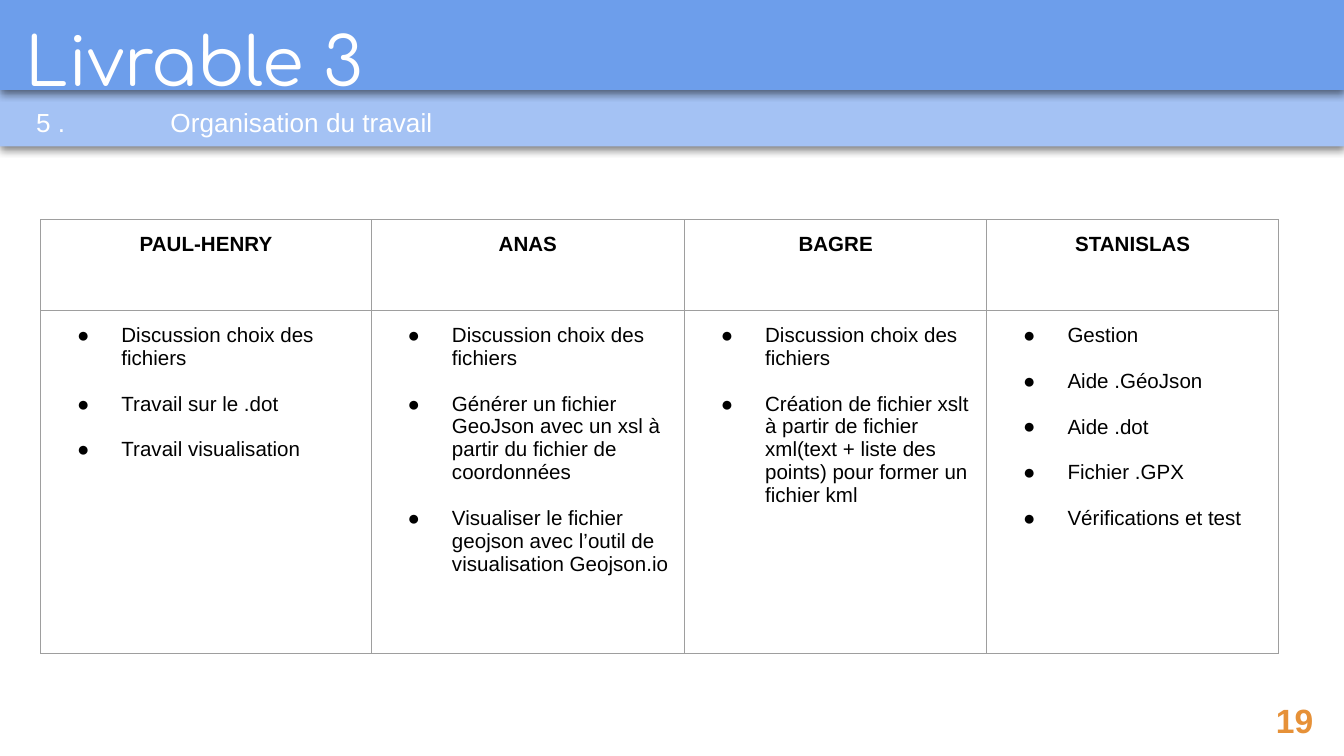
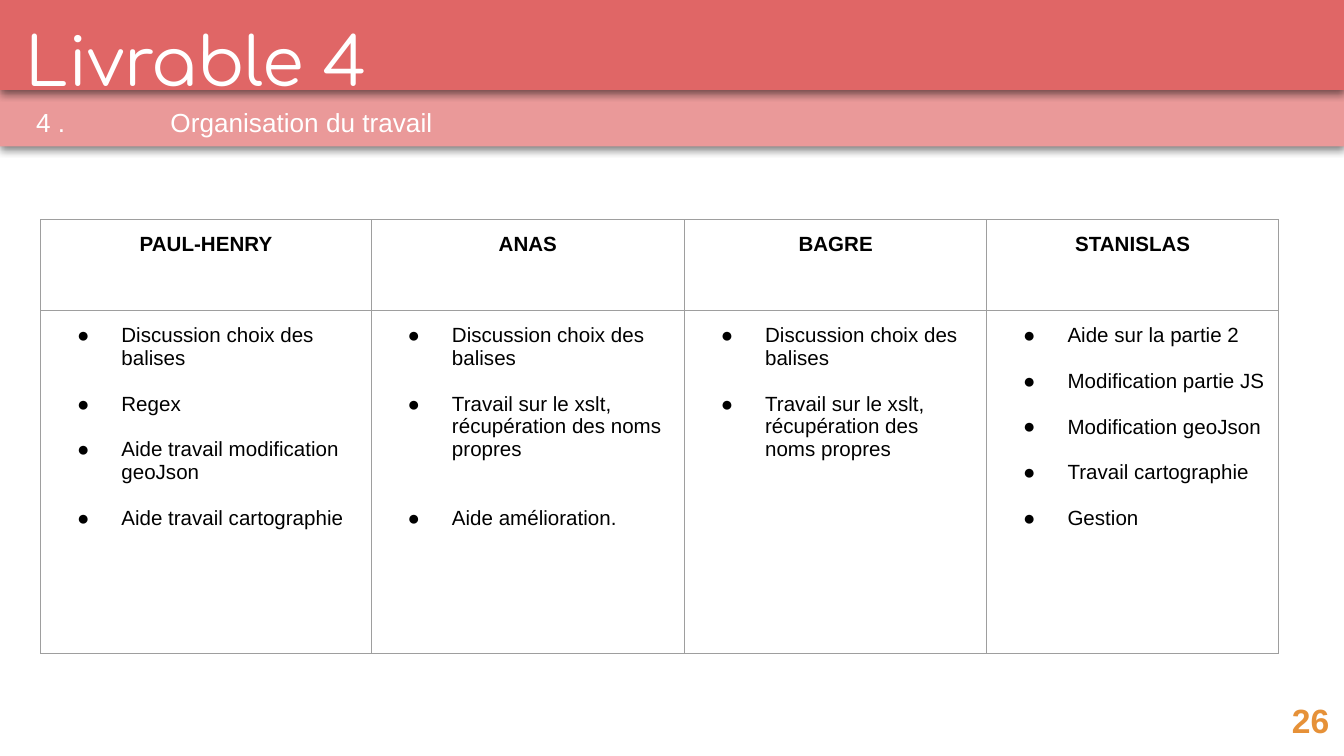
from dataclasses import dataclass

from lxml.etree import SubElement
from pptx import Presentation
from pptx.dml.color import RGBColor as RGB
from pptx.enum.shapes import MSO_SHAPE as Preset
from pptx.enum.text import MSO_ANCHOR as Anchor, MSO_AUTO_SIZE as AutoSize, PP_ALIGN as Align
from pptx.oxml import parse_xml
from pptx.oxml.ns import nsdecls, qn
from pptx.util import Inches, Pt


@dataclass(frozen=True)
class Theme:
    body_font: str = "Arial"
    title_font: str = "Comfortaa"
    white: str = "FFFFFF"
    ink: str = "000000"
    border: str = "9E9E9E"
    accent: str = "E69138"
    title_size: float = 36
    number_size: float = 18
    section_size: float = 14
    table_size: float = 11
    item_gap: float = 12.3
    border_width: float = 0.75


THEME = Theme()
MEMBERS = ["PAUL-HENRY", "ANAS", "BAGRE", "STANISLAS"]
WIDE_GAP_ITEM = "Aide amélioration."

DELIVERABLES = [
    {
        "title": "Livrable 3", "section": "5 . \tOrganisation du travail",
        "dark": "6D9EEB", "light": "A4C2F4",
        "number": "19", "number_left": 93.95, "number_width": 6.2,
        "tasks": [
            ["Discussion choix des fichiers", "Travail sur le .dot", "Travail visualisation"],
            ["Discussion choix des fichiers",
             "Générer un fichier GeoJson avec un xsl à partir du fichier de coordonnées",
             "Visualiser le fichier geojson avec l’outil de visualisation Geojson.io"],
            ["Discussion choix des fichiers",
             "Création de fichier xslt à partir de fichier xml(text + liste des points) "
             "pour former un fichier kml"],
            ["Gestion", "Aide .GéoJson", "Aide .dot", "Fichier .GPX", "Vérifications et test"],
        ],
    },
    {
        "title": "Livrable 4", "section": "4 . \tOrganisation du travail",
        "dark": "E06666", "light": "EA9999",
        "number": "26", "number_left": 95.15, "number_width": 5,
        "tasks": [
            ["Discussion choix des balises", "Regex", "Aide travail modification geoJson",
             "Aide travail cartographie"],
            ["Discussion choix des balises",
             "Travail sur le xslt, récupération des noms propres", WIDE_GAP_ITEM],
            ["Discussion choix des balises",
             "Travail sur le xslt, récupération des noms propres"],
            ["Aide sur la partie 2", "Modification partie JS", "Modification geoJson",
             "Travail cartographie", "Gestion"],
        ],
    },
]

deck = Presentation()
deck.slide_width, deck.slide_height = Inches(10), Inches(10) * 9 // 16
UNIT = deck.slide_width // 100  # square grid, 100 columns across the slide

BAND_HEIGHT = 7
TITLE_BOX = (0.9, 0.4, 33.1, 7.7)
SECTION_BOX = (-3.3, 6.55, 37.6, 7.7)
NUMBER_TOP, NUMBER_HEIGHT = 51.1, 4
TABLE_LEFT, TABLE_TOP = 3.03, 16.35
COLUMN_WIDTHS = [24.6, 23.3, 22.5, 21.7]
ROW_HEIGHTS = [6.75, 25.5]


def grid(*units):
    return [round(value * UNIT) for value in units]


def write(frame, text, size, color, bold=False, font=THEME.body_font, new=False):
    """Add one run to the frame's first paragraph, or to a new one."""
    frame.word_wrap = True
    frame.vertical_anchor = Anchor.TOP
    frame.margin_left = frame.margin_right = UNIT
    frame.margin_top = frame.margin_bottom = UNIT
    paragraph = frame.add_paragraph() if new else frame.paragraphs[0]
    run = paragraph.add_run()
    run.text = text
    run.font.name, run.font.size, run.font.bold = font, Pt(size), bold
    run.font.color.rgb = RGB.from_string(color)
    return paragraph


for deliverable in DELIVERABLES:
    slide = deck.slides.add_slide(deck.slide_layouts[5])

    bands = []
    for band_top, color in [(3.9, deliverable["light"]), (-0.3, deliverable["dark"])]:
        band = slide.shapes.add_shape(Preset.RECTANGLE, *grid(0, band_top, 100, BAND_HEIGHT))
        band.fill.solid()
        band.fill.fore_color.rgb = RGB.from_string(color)
        band.line.fill.background()
        band.shadow.inherit = False
        band.element.spPr.find(qn("a:effectLst")).append(parse_xml(
            f'<a:outerShdw {nsdecls("a")} blurRad="{Pt(4.5)}" dist="{Pt(1.5)}" dir="5400000" '
            f'algn="bl" rotWithShape="0"><a:srgbClr val="{THEME.ink}"><a:alpha val="50000"/>'
            '</a:srgbClr></a:outerShdw>'))
        bands.append(band)
    section_band, title_band = bands

    section = slide.shapes.add_textbox(*grid(*SECTION_BOX))
    heading = write(section.text_frame, deliverable["section"], THEME.section_size, THEME.white)
    heading.line_spacing = 1.15
    properties = heading._p.get_or_add_pPr()
    properties.set("marL", str(5 * UNIT))
    properties.set("indent", "0")
    properties.set("defTabSz", str(10 * UNIT))
    section_band.element.addnext(section.element)

    number = slide.shapes.add_textbox(*grid(
        deliverable["number_left"], NUMBER_TOP, deliverable["number_width"], NUMBER_HEIGHT))
    write(number.text_frame, deliverable["number"], THEME.number_size, THEME.accent, bold=True)
    section.element.addnext(number.element)

    title = slide.shapes.title
    title.left, title.top, title.width, title.height = grid(*TITLE_BOX)
    title.text_frame.auto_size = AutoSize.NONE
    write(title.text_frame, deliverable["title"], THEME.title_size, THEME.white,
          font=THEME.title_font).alignment = Align.LEFT
    title_band.element.addnext(title.element)

    work = slide.shapes.add_table(
        len(ROW_HEIGHTS), len(MEMBERS),
        *grid(TABLE_LEFT, TABLE_TOP, sum(COLUMN_WIDTHS), sum(ROW_HEIGHTS))).table
    work.first_row = work.horz_banding = False
    for row, height in zip(work.rows, grid(*ROW_HEIGHTS)):
        row.height = height
    for column, width in zip(work.columns, grid(*COLUMN_WIDTHS)):
        column.width = width

    for index, (member, tasks) in enumerate(zip(MEMBERS, deliverable["tasks"])):
        name_cell, task_cell = work.cell(0, index), work.cell(1, index)
        write(name_cell.text_frame, member, THEME.table_size, THEME.ink,
              bold=True).alignment = Align.CENTER

        for position, task in enumerate(tasks):
            item = write(task_cell.text_frame, task, THEME.table_size, THEME.ink,
                         new=position > 0)
            if position:
                item.space_before = Pt(THEME.item_gap * (2 if task == WIDE_GAP_ITEM else 1))
            properties = item._p.get_or_add_pPr()
            properties.set("marL", str(5 * UNIT))
            properties.set("indent", str(round(-3.3 * UNIT)))
            bullet_color = SubElement(properties, qn("a:buClr"))
            SubElement(bullet_color, qn("a:srgbClr"), val=THEME.ink)
            SubElement(properties, qn("a:buSzPts"), val=str(round(THEME.table_size * 100)))
            SubElement(properties, qn("a:buFont"), typeface=THEME.body_font)
            SubElement(properties, qn("a:buChar"), char="●")

        for cell in (name_cell, task_cell):
            cell.margin_left = cell.margin_right = UNIT
            cell.margin_top = cell.margin_bottom = UNIT
            cell.vertical_anchor = Anchor.TOP
            cell_properties = cell._tc.get_or_add_tcPr()
            for side in ("lnL", "lnR", "lnT", "lnB"):
                edge = SubElement(cell_properties, qn(f"a:{side}"),
                                  w=str(Pt(THEME.border_width)))
                edge_fill = SubElement(edge, qn("a:solidFill"))
                SubElement(edge_fill, qn("a:srgbClr"), val=THEME.border)
            cell.fill.background()

deck.save("out.pptx")
